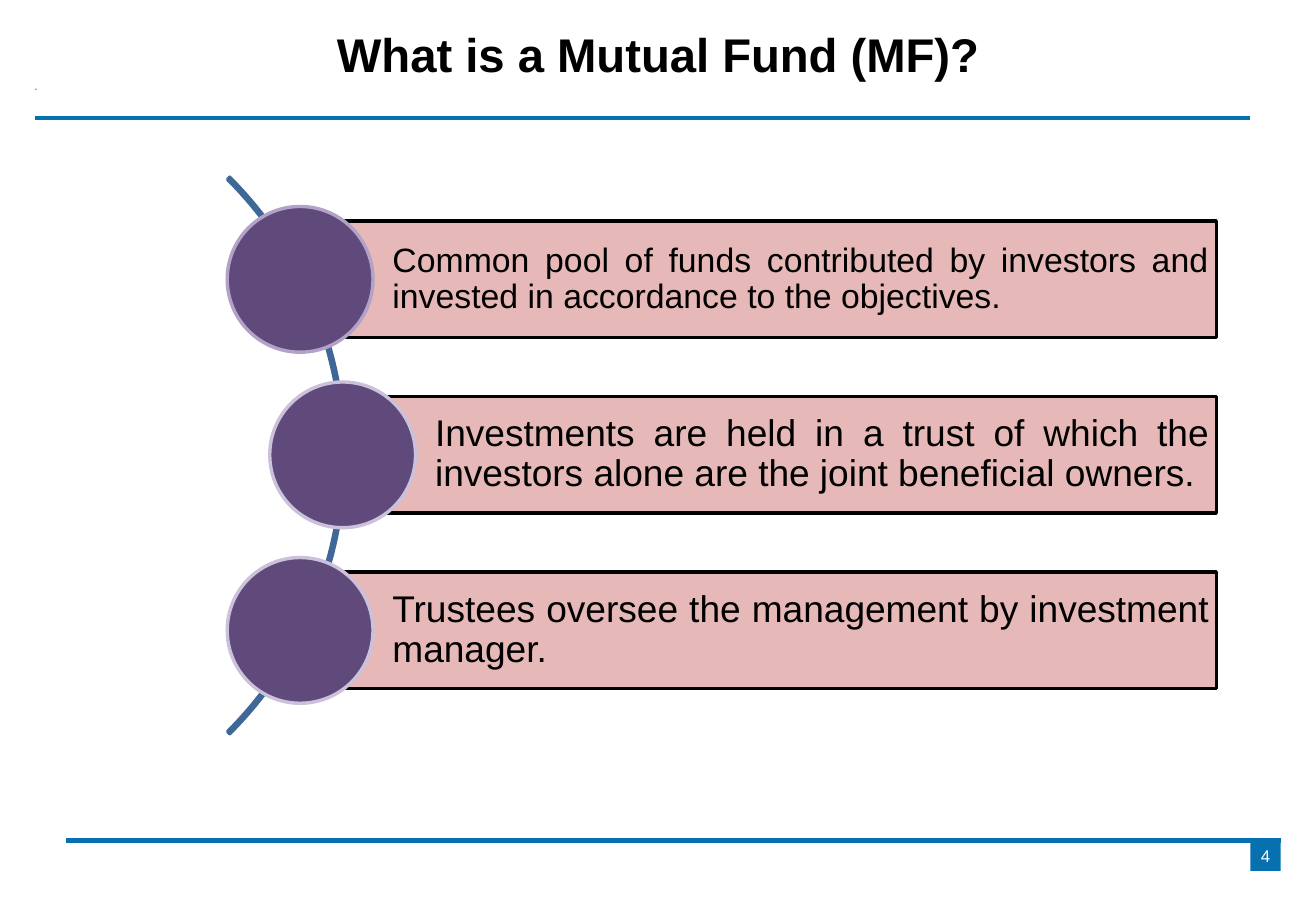
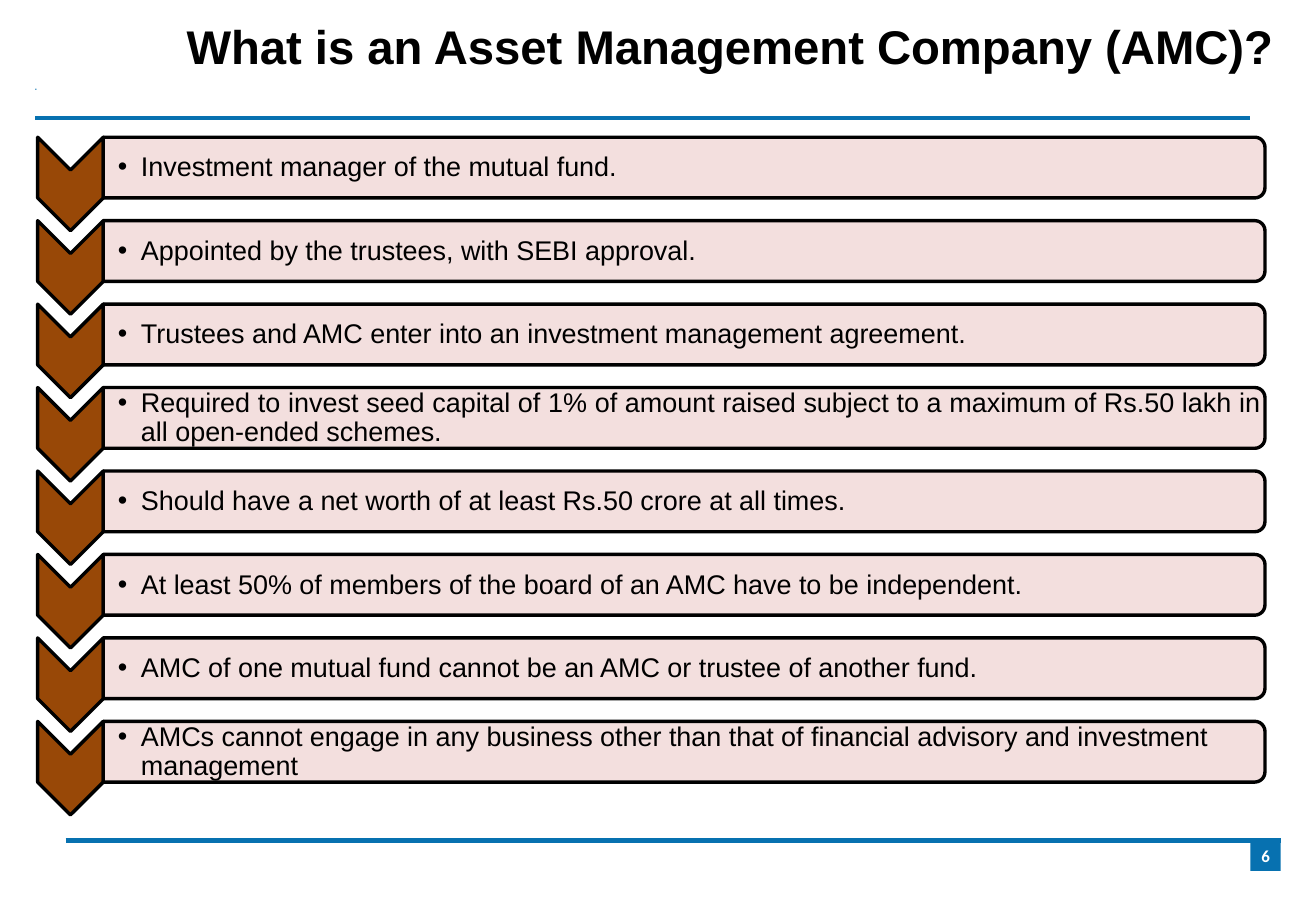
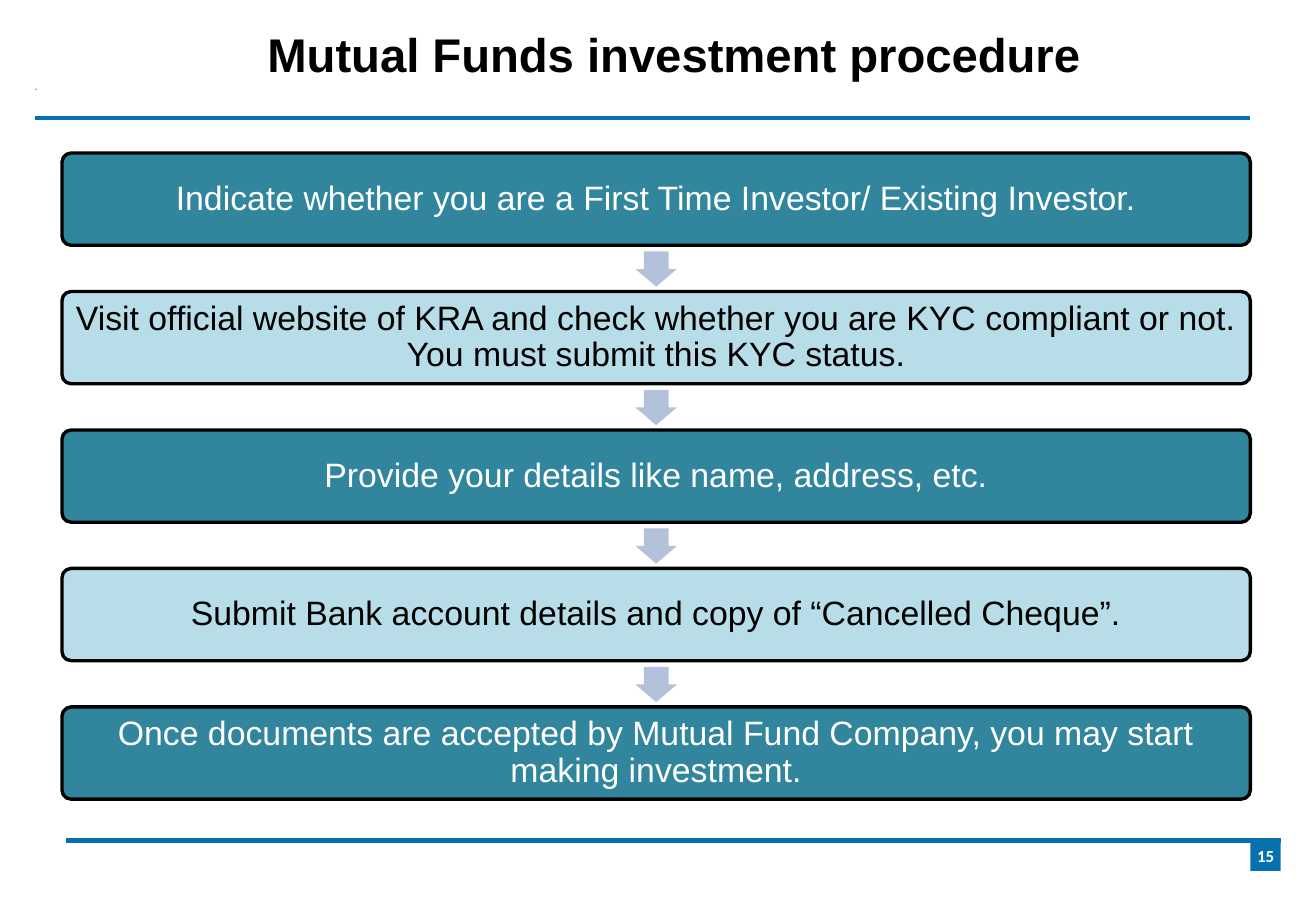
from dataclasses import dataclass
from typing import Any, Optional

import pptx
import pptx.dml.color
import pptx.enum.shapes
import pptx.enum.text
import pptx.oxml.ns
import pptx.util
from lxml import etree

Inches = pptx.util.Inches
Pt = pptx.util.Pt
MSO = pptx.enum.shapes.MSO_SHAPE
ALIGN = pptx.enum.text.PP_ALIGN
MIDDLE = pptx.enum.text.MSO_ANCHOR.MIDDLE
qn = pptx.oxml.ns.qn

# Shared look
BLUE, BLACK, WHITE = "0771B0", "000000", "FFFFFF"
PURPLE, ROSE, ARC = "604A7B", "E6B9B8", "3F6797"
BROWN, PALE_ROSE = "984807", "F2DCDB"
TEAL, PALE_TEAL, ARROW = "31859C", "B7DEE8", "B3C1DB"
TITLE_SIZE = (9.75, 0.74)
TITLE_FONT = {"name": "Arial", "size": Pt(28), "bold": True}


@dataclass
class Box:
    left: float
    top: float
    width: float
    height: float

    def lengths(self) -> list[int]:
        return [Inches(v) for v in (self.left, self.top, self.width, self.height)]

    def quarter_turn(self) -> "Box":
        """Frame that covers this box once it is rotated by 90 degrees."""
        shift = (self.width - self.height) / 2
        return Box(self.left + shift, self.top - shift, self.height, self.width)


@dataclass
class Fact:
    text: str
    left: float
    size: int
    ring: str


@dataclass
class Duty:
    text: str
    align: Any = ALIGN.LEFT


FACTS = [
    Fact("Common pool of funds contributed by investors and invested in "
         "accordance to the objectives.", 2.47, 20, "B3A2C7"),
    Fact("Investments are held in a trust of which the investors alone are "
         "the joint beneficial owners.", 2.82, 22, "CCC1DA"),
    Fact("Trustees oversee the management by investment manager.",
         2.47, 22, "CCC1DA"),
]
DUTIES = [
    Duty("Investment manager of the mutual fund."),
    Duty("Appointed by the trustees, with SEBI approval."),
    Duty("Trustees and AMC enter into an investment management agreement."),
    Duty("Required to invest seed capital of 1% of amount raised subject to "
         "a maximum of Rs.50 lakh in all open-ended schemes.", ALIGN.JUSTIFY),
    Duty("Should have a net worth of at least Rs.50 crore at all times."),
    Duty("At least 50% of members of the board of an AMC have to be independent."),
    Duty("AMC of one mutual fund cannot be an AMC or trustee of another fund."),
    Duty("AMCs cannot engage in any business other than that of financial "
         "advisory and investment management"),
]
STEPS = [
    "Indicate whether you are a First Time Investor/ Existing Investor.",
    "Visit official website of KRA and check whether you are KYC compliant "
    "or not. You must submit this KYC status.",
    "Provide your details like name, address, etc.",
    "Submit Bank account details and copy of “Cancelled Cheque”.",
    "Once documents are accepted by Mutual Fund Company, you may start "
    "making investment.",
]


def rgb(color: str) -> pptx.dml.color.RGBColor:
    return pptx.dml.color.RGBColor.from_string(color)


def apply(obj: Any, values: dict[str, Any]) -> None:
    for name, value in values.items():
        setattr(obj, name, value)


def add_bullet(p: Any, indent: float) -> None:
    pPr = p._p.get_or_add_pPr()
    pPr.set("marL", str(Inches(indent)))
    pPr.set("indent", str(-Inches(indent)))
    etree.SubElement(pPr, qn("a:buFont")).set("typeface", "Arial")
    etree.SubElement(pPr, qn("a:buChar")).set("char", "•")


def write(sp: Any, text: str, font: dict[str, Any], color: str = BLACK,
          align: Any = ALIGN.CENTER, spacing: float = 0.9,
          insets: tuple[float, float] = (0, 0), bullet: float = 0) -> None:
    """Fill a shape with one paragraph; insets are left and all other sides."""
    left, rest = (Inches(v) for v in insets)
    tf = sp.text_frame
    apply(tf, {"word_wrap": True, "vertical_anchor": MIDDLE,
               "auto_size": pptx.enum.text.MSO_AUTO_SIZE.NONE,
               "margin_left": left, "margin_right": rest,
               "margin_top": rest, "margin_bottom": rest})
    p = tf.paragraphs[0]
    if bullet:
        add_bullet(p, bullet)
    apply(p, {"alignment": align, "line_spacing": spacing})
    r = p.add_run()
    r.text = text
    apply(r.font, font)
    r.font.color.rgb = rgb(color)


def add_shape(slide: Any, kind: Any, box: Box, fill: Optional[str] = None,
              line: Optional[str] = None, adjust: tuple[float, ...] = (),
              turned: bool = False) -> Any:
    frame = box.quarter_turn() if turned else box
    sp = slide.shapes.add_shape(kind, *frame.lengths())
    sp.shadow.inherit = False
    sp.rotation = 90 if turned else 0
    for i, value in enumerate(adjust):
        sp.adjustments[i] = value
    if fill:
        sp.fill.solid()
        sp.fill.fore_color.rgb = rgb(fill)
    else:
        sp.fill.background()
    if line:
        sp.line.color.rgb = rgb(line)
        sp.line.width = Pt(2)
    else:
        sp.line.fill.background()
    return sp


def add_rule(slide: Any, left: float, top: float) -> None:
    ends = [Inches(v) for v in (left, top, left + 10, top)]
    c = slide.shapes.add_connector(pptx.enum.shapes.MSO_CONNECTOR.STRAIGHT, *ends)
    c.line.color.rgb = rgb(BLUE)
    c.line.width = Pt(2.5)
    etree.SubElement(c._element.spPr, qn("a:effectLst"))


def new_slide(prs: Any, title: str, left: float, top: float, number: str,
              number_font: dict[str, Any]) -> Any:
    """Slide with title, header and footer rules and page number."""
    slide = prs.slides.add_slide(prs.slide_layouts[5])
    sp = slide.shapes.title
    frame = Box(left, top, *TITLE_SIZE).lengths()
    apply(sp, dict(zip(("left", "top", "width", "height"), frame)))
    write(sp, title, TITLE_FONT, spacing=0.93)
    add_rule(slide, 0.29, 0.97)
    add_shape(slide, MSO.RECTANGLE, Box(0.29, 0.73, 0.01, 0.01), BLUE)
    add_rule(slide, 0.54, 6.92)
    badge = add_shape(slide, MSO.RECTANGLE, Box(10.29, 6.92, 0.25, 0.25), BLUE)
    write(badge, number, {"size": Pt(10), **number_font}, WHITE, spacing=1.0)
    return slide


def build_fund(prs: Any) -> None:
    slide = new_slide(prs, "What is a Mutual Fund (MF)?", 0.54, 0.1, "4",
                      {"name": "Arial", "bold": False})
    add_shape(slide, MSO.BLOCK_ARC, Box(-3.64, 0.51, 6.48, 6.48), line=ARC,
              adjust=(189, 27, 0.004))
    right, first, pitch, circle = 10.01, 1.82, 1.445, 1.2
    for i, fact in enumerate(FACTS):
        top = first + i * pitch
        bar = add_shape(slide, MSO.RECTANGLE,
                        Box(fact.left, top, right - fact.left, 0.96), ROSE, BLACK)
        write(bar, fact.text, {"name": "Arial", "size": Pt(fact.size)},
              align=ALIGN.JUSTIFY, insets=(0.76, 0.06))
        add_shape(slide, MSO.OVAL,
                  Box(fact.left - circle / 2, top - 0.12, circle, circle),
                  PURPLE, fact.ring)


def build_company(prs: Any) -> None:
    slide = new_slide(prs, "What is an Asset Management Company (AMC)?",
                      1.13, 0.03, "6", {"name": "Calibri", "bold": True})
    first, pitch = 1.13, 0.687
    for i, duty in enumerate(DUTIES):
        top = first + i * pitch
        add_shape(slide, MSO.CHEVRON, Box(0.31, top, 0.54, 0.77), BROWN, BLACK,
                  turned=True)
        panel = add_shape(slide, MSO.ROUND_2_SAME_RECTANGLE,
                          Box(0.85, top, 9.56, 0.5), PALE_ROSE, BLACK, turned=True)
        color = panel._element.spPr.find(qn("a:solidFill"))[0]
        etree.SubElement(color, qn("a:alpha")).set("val", "90000")
        label = slide.shapes.add_textbox(*Box(0.85, top + 0.03, 9.54, 0.45).lengths())
        write(label, duty.text, {"name": "Arial", "size": Pt(16)},
              align=duty.align, insets=(0.12, 0.01), bullet=0.19)


def build_procedure(prs: Any) -> None:
    slide = new_slide(prs, "Mutual Funds investment procedure", 0.67, 0.1, "15",
                      {"name": "Calibri", "bold": True})
    first, pitch, height = 1.26, 1.14, 0.76
    for i, step in enumerate(STEPS):
        top = first + i * pitch
        fill, color = ((TEAL, WHITE), (PALE_TEAL, BLACK))[i % 2]
        if i:
            add_shape(slide, MSO.RIGHT_ARROW,
                      Box(5.23, top - 0.33, 0.34, 0.29), ARROW,
                      adjust=(0.6, 0.5), turned=True)
        sp = add_shape(slide, MSO.ROUNDED_RECTANGLE, Box(0.51, top, 9.78, height),
                       fill, BLACK, adjust=(0.1,))
        write(sp, step, {"name": "Arial", "size": Pt(20)}, color,
              insets=(0.08, 0.08))


def main() -> None:
    prs = pptx.Presentation()
    prs.slide_width, prs.slide_height = Inches(10.83), Inches(7.5)
    build_fund(prs)
    build_company(prs)
    build_procedure(prs)
    prs.save("out.pptx")


if __name__ == "__main__":
    main()
